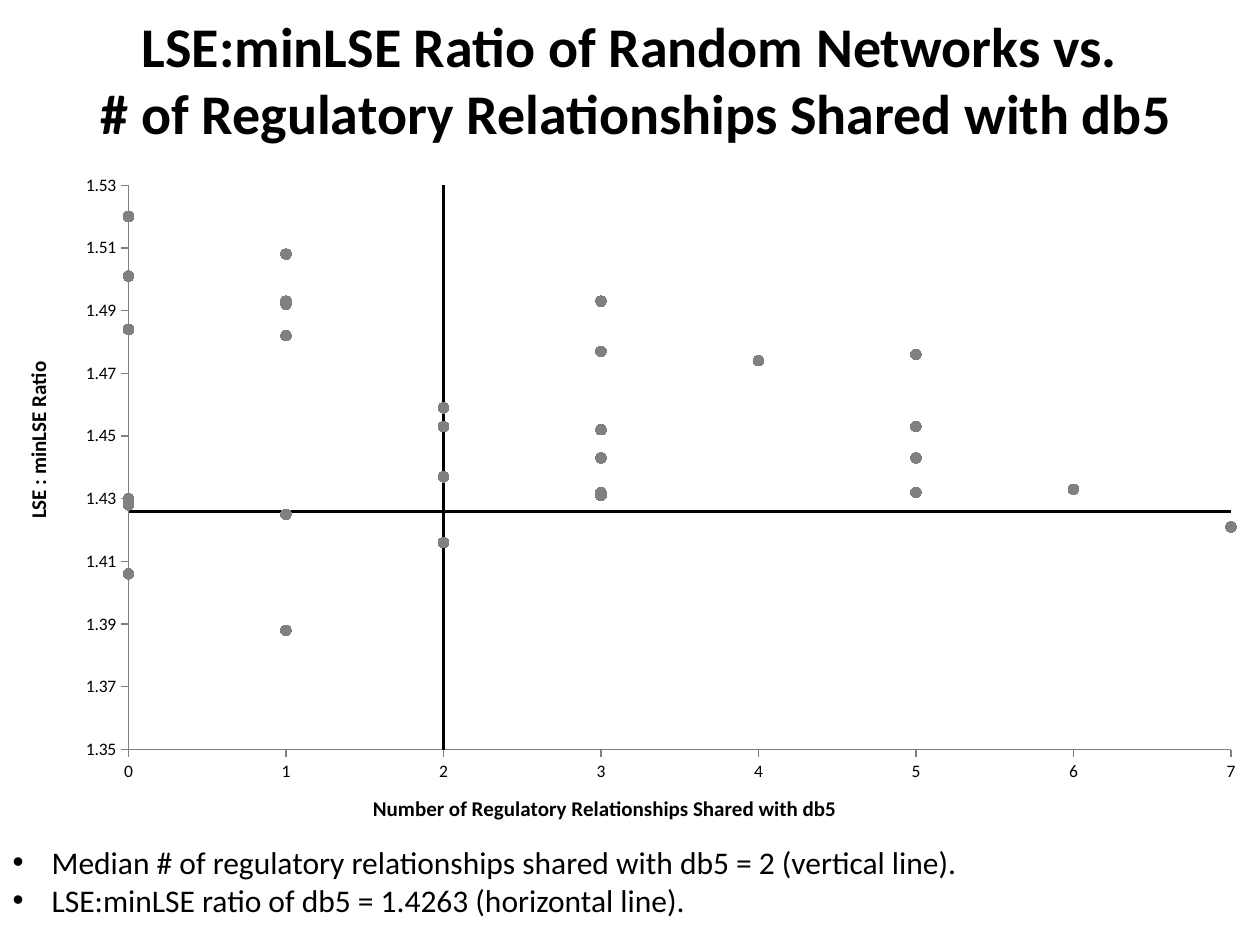
"""Build a slide with a scatter chart, two reference lines and two notes."""
from dataclasses import dataclass
from typing import Optional

from lxml.etree import SubElement
from pptx import Presentation
from pptx.chart.data import XyChartData
from pptx.dml.color import RGBColor
from pptx.enum.chart import XL_CHART_TYPE as ChartType, XL_MARKER_STYLE as Marker
from pptx.enum.chart import XL_TICK_MARK as Tick
from pptx.enum.text import MSO_ANCHOR, MSO_AUTO_SIZE as AutoSize, PP_ALIGN
from pptx.oxml import parse_xml
from pptx.oxml.ns import nsdecls, qn
from pptx.util import Inches, Pt

FONT = "Calibri"
BLACK, GREY = "000000", "808080"
CHART_W, CHART_H = 10, 5.5


@dataclass
class AxisSpec:
    title: str
    low: float
    high: float
    step: float
    number_format: str
    title_x: float
    title_y: float
    rotation: int = 0


@dataclass
class Series:
    name: str
    xs: list[Optional[float]]
    ys: list[float]
    marker: Optional[str] = None
    line: Optional[str] = None


X_AXIS = AxisSpec("Number of Regulatory Relationships Shared with db5",
                  0, 7, 1, "General", 2.93, 4.99)
Y_AXIS = AxisSpec("LSE : minLSE Ratio", 1.35, 1.53, 0.02, "0.00", 0.16, 1.56, -90)

SERIES = [
    Series("Series 1",
           [1, 0, 2, 7, 1, None, 0, 0, 3, 3, 3, 5, 6, 2, 5, 3,
            3, 5, 2, 2, 4, 5, 3, 1, 0, 1, 1, 3, 0, 1, 0],
           [1.388, 1.406, 1.416, 1.421, 1.425, 1.426, 1.428, 1.43,
            1.431, 1.431, 1.432, 1.432, 1.433, 1.437, 1.443, 1.443,
            1.452, 1.453, 1.453, 1.459, 1.474, 1.476, 1.477, 1.482,
            1.484, 1.492, 1.493, 1.493, 1.501, 1.508, 1.52], marker=GREY),
    Series("Series 2", [2, 2], [0, 1.6], line=BLACK),
    Series("Series 3", [0, 8], [1.426, 1.426], line=BLACK),
]

NOTES = [
    "Median # of regulatory relationships shared with db5 = 2 (vertical line).",
    "LSE:minLSE ratio of db5 = 1.4263 (horizontal line).",
]


def rgb(value: str) -> RGBColor:
    return RGBColor.from_string(value)


def set_font(font, size: float, bold: bool = False) -> None:
    font.name, font.size, font.bold = FONT, Pt(size), bold
    font.color.rgb = rgb(BLACK)


def place(sp, left: float, top: float, width: float, height: float) -> None:
    sp.left, sp.top = Inches(left), Inches(top)
    sp.width, sp.height = Inches(width), Inches(height)


def set_layout(parent, index: int, **inches: float) -> None:
    for old in parent.findall(qn("c:layout")):
        parent.remove(old)
    layout = parse_xml(f"<c:layout {nsdecls('c')}><c:manualLayout/></c:layout>")
    manual = layout[0]
    if "w" in inches:
        SubElement(manual, qn("c:layoutTarget")).set("val", "inner")
    for mode in ("xMode", "yMode"):
        SubElement(manual, qn(f"c:{mode}")).set("val", "edge")
    for key, value in inches.items():
        fraction = value / (CHART_W if key in "xw" else CHART_H)
        SubElement(manual, qn(f"c:{key}")).set("val", str(fraction))
    parent.insert(index, layout)


def format_axis(axis, spec: AxisSpec) -> None:
    axis.minimum_scale, axis.maximum_scale = spec.low, spec.high
    axis.major_unit = spec.step
    axis.has_major_gridlines = False
    axis.major_tick_mark, axis.minor_tick_mark = Tick.OUTSIDE, Tick.NONE
    axis.format.line.color.rgb = rgb(GREY)
    axis.format.line.width = Pt(0.75)
    axis.tick_labels.number_format = spec.number_format
    axis.tick_labels.number_format_is_linked = False
    set_font(axis.tick_labels.font, 10)
    title = axis.axis_title
    title.text_frame.text = spec.title
    set_font(title.text_frame.paragraphs[0].font, 12, True)
    title.element.xpath(".//a:bodyPr")[0].set("rot", str(spec.rotation * 60000))
    set_layout(title.element, 1, x=spec.title_x, y=spec.title_y)


def format_series(plotted, spec: Series) -> None:
    plotted.smooth = False
    line, marker = plotted.format.line, plotted.marker
    if spec.line:
        line.color.rgb = rgb(spec.line)
        line.width = Pt(1.5)
    else:
        line.fill.background()
    if spec.marker:
        marker.style, marker.size = Marker.CIRCLE, 6
        marker.format.fill.solid()
        marker.format.fill.fore_color.rgb = rgb(spec.marker)
        marker.format.line.fill.background()
    else:
        marker.style = Marker.NONE


def add_scatter(s) -> None:
    data = XyChartData()
    for spec in SERIES:
        series = data.add_series(spec.name)
        for x, y in zip(spec.xs, spec.ys):
            series.add_data_point(x, y)
    chart = s.shapes.add_chart(ChartType.XY_SCATTER, Inches(0), Inches(1.28),
                               Inches(CHART_W), Inches(CHART_H), data).chart
    for blank in chart.element.xpath(".//c:xVal//c:pt[c:v='None']"):
        blank.getparent().remove(blank)
    chart.has_legend = chart.has_title = False
    set_font(chart.font, 10)
    chart.plots[0].vary_by_categories = False
    set_layout(chart.element.xpath(".//c:plotArea")[0], 0,
               x=1.02, y=0.19, w=8.75, h=4.48)
    format_axis(chart.category_axis, X_AXIS)
    format_axis(chart.value_axis, Y_AXIS)
    for plotted, spec in zip(chart.plots[0].series, SERIES):
        format_series(plotted, spec)


def add_title(s) -> None:
    title = s.shapes.title
    place(title, 0.5, 0, 9, 1.25)
    tf = title.text_frame
    tf.text = ("LSE:minLSE Ratio of Random Networks vs.\v"
               " # of Regulatory Relationships Shared with db5")
    tf.auto_size, tf.vertical_anchor = AutoSize.NONE, MSO_ANCHOR.MIDDLE
    tf.paragraphs[0].alignment = PP_ALIGN.CENTER
    set_font(tf.paragraphs[0].font, 32, True)


def add_notes(s) -> None:
    body = s.placeholders[1]
    place(body, 0, 6.64, 10, 0.71)
    tf = body.text_frame
    tf.text = "\n".join(NOTES)
    tf.auto_size = AutoSize.NONE
    for p in tf.paragraphs:
        p.space_before = Pt(0)
        set_font(p.font, 18)
        pPr = p._p.get_or_add_pPr()
        pPr.set("marL", str(Inches(0.31)))
        pPr.set("indent", str(-Inches(0.31)))


def main() -> None:
    prs = Presentation()
    prs.slide_width, prs.slide_height = Inches(10), Inches(7.5)
    s = prs.slides.add_slide(prs.slide_layouts[1])
    add_title(s)
    add_scatter(s)
    add_notes(s)
    prs.save("out.pptx")


if __name__ == "__main__":
    main()
